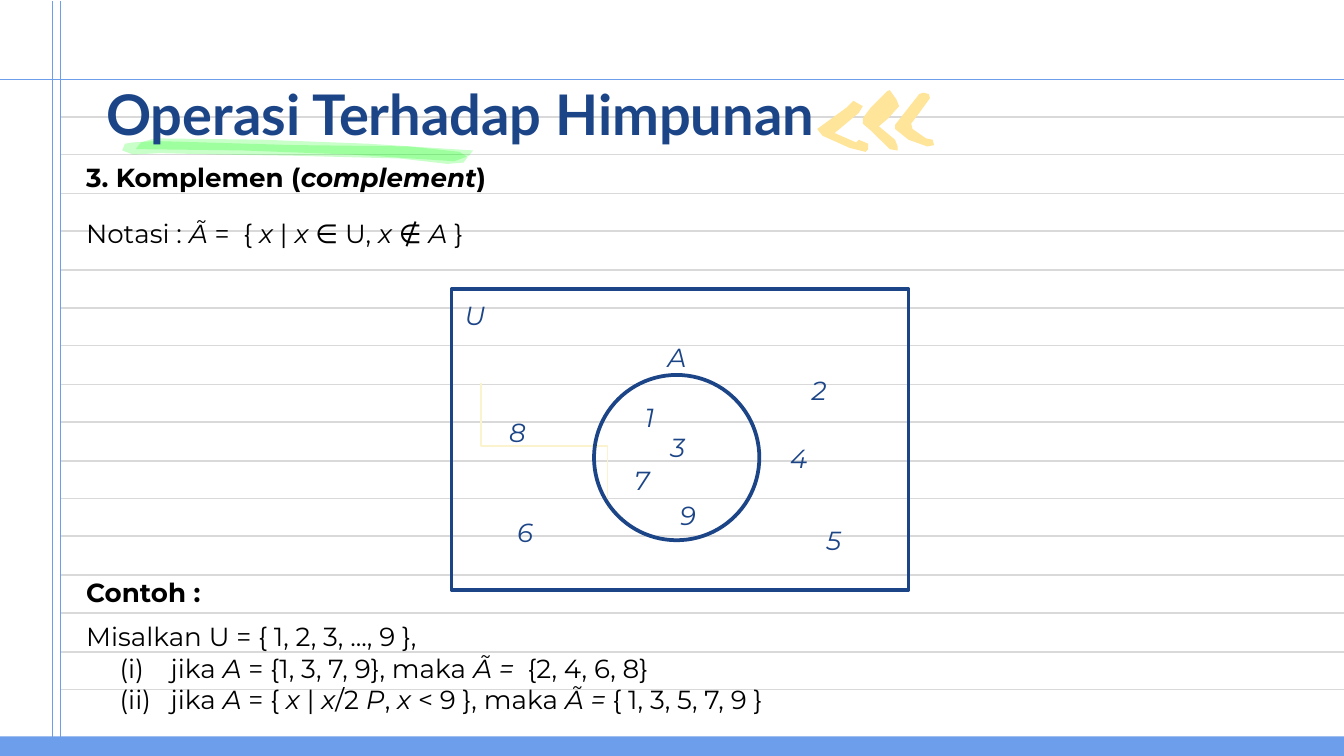
from lxml.etree import SubElement
from pptx import Presentation
from pptx.dml.color import RGBColor
from pptx.enum.shapes import MSO_CONNECTOR, MSO_SHAPE
from pptx.enum.text import MSO_ANCHOR, MSO_AUTO_SIZE, PP_ALIGN
from pptx.oxml.ns import qn
from pptx.util import Emu, Inches, Pt

PX = 9144
NAVY, BLUE, RULE = "1C4587", "6D9EEB", "D9D9D9"
GREEN, YELLOW, CREAM = "00FF00", "FFE599", "FAF3CD"

CHEVRONS = [
    [(608, 96), (630, 80), (635, 75), (642, 79), (639, 84), (621, 99), (637, 106),
     (639, 104), (646, 107), (646, 111), (644, 113), (632, 110), (612, 101)],
    [(662, 67), (667, 74), (669, 79), (661, 88), (654, 94), (666, 104), (668, 109),
     (668, 112), (662, 111), (649, 98), (642, 92), (642, 88), (648, 80), (660, 68)],
    [(687, 69), (691, 70), (692, 73), (684, 84), (678, 92), (679, 96), (689, 103),
     (694, 104), (695, 108), (690, 109), (676, 104), (666, 96), (666, 93), (673, 84), (684, 70)],
]
HIGHLIGHTS = [
    [(115, 103), (195, 104), (274, 107), (352, 112), (349, 116), (338, 120),
     (260, 115), (180, 112), (101, 111), (105, 106)],
    [(116, 105), (151, 106), (219, 108), (304, 109), (342, 113), (348, 117), (345, 121),
     (333, 122), (298, 118), (222, 116), (161, 115), (119, 114), (99, 115), (91, 112), (93, 107), (99, 106)],
]
DIAGRAM_LABELS = [
    ("U", 336, 218, 36), ("A", 487, 249, 34), ("1", 470, 294, 28),
    ("3", 489, 316, 32), ("6", 375, 379, 32), ("4", 578, 324, 31),
    ("2", 594, 274, 32), ("5", 605, 385, 32), ("7", 462, 341, 31),
    ("8", 369, 305, 33), ("9", 496, 367, 32),
]
EXPLANATION = [
    ("3. Komplemen (*complement*)", True, 0, False),
    ("Notasi : *Ã* =  { *x *| *x *∈ U, *x *∉ *A* }", False, 18, False),
    ("Contoh :", True, 180, False),
    ("Misalkan U = { 1, 2, 3, ..., 9 },", False, 12, False),
    ("(i)\tjika *A* = {1, 3, 7, 9}, maka *Ã = * {2, 4, 6, 8}", False, 0, True),
    ("(ii)\tjika *A* = { *x* | *x*/2 *P*, *x* < 9 }, maka *Ã =* { 1, 3, 5, 7, 9 }", False, 0, True),
]


def px(value):
    return Emu(value * PX)


def color(hex_code):
    return RGBColor.from_string(hex_code)


def style_font(font, name, size, hex_code, bold=False, italic=False):
    font.name, font.size = name, Pt(size)
    font.bold, font.italic = bold, italic
    font.color.rgb = color(hex_code)


def add_line(slide, start, end, hex_code, width, kind=MSO_CONNECTOR.STRAIGHT):
    line = slide.shapes.add_connector(kind, *map(px, start + end))
    line.line.color.rgb = color(hex_code)
    line.line.width = Pt(width)
    SubElement(line._element.spPr, qn("a:effectLst"))
    return line


def add_shape(slide, preset, box, fill=None, outline=None):
    shape = slide.shapes.add_shape(preset, *map(px, box))
    shape.shadow.inherit = False
    if fill:
        shape.fill.solid()
        shape.fill.fore_color.rgb = color(fill)
    else:
        shape.fill.background()
    if outline:
        shape.line.color.rgb = color(outline)
        shape.line.width = Pt(2)
    else:
        shape.line.fill.background()


def add_stroke(slide, points, hex_code, opacity=100):
    builder = slide.shapes.build_freeform(*points[0], scale=PX)
    builder.add_line_segments(points[1:], close=True)
    stroke = builder.convert_to_shape()
    stroke.shadow.inherit = False
    stroke.fill.solid()
    stroke.fill.fore_color.rgb = color(hex_code)
    stroke.line.fill.background()
    if opacity < 100:
        tint = stroke._element.spPr.find(qn("a:solidFill"))[0]
        SubElement(tint, qn("a:alpha"), val=str(opacity * 1000))


def add_label(slide, text, left, top, width):
    label = slide.shapes.add_textbox(px(left), px(top), px(width), px(34))
    label.text_frame.word_wrap = False
    label.text_frame.text = text
    style_font(label.text_frame.paragraphs[0].runs[0].font, "Montserrat", 14, NAVY, italic=True)


def place(slide, placeholder, box):
    placeholder.left, placeholder.top, placeholder.width, placeholder.height = map(px, box)
    slide.shapes._spTree.append(placeholder._element)
    frame = placeholder.text_frame
    frame.word_wrap = True
    frame.auto_size = MSO_AUTO_SIZE.NONE
    frame.vertical_anchor = MSO_ANCHOR.TOP
    return frame


def fill_title(slide, text):
    frame = place(slide, slide.shapes.title, (79, 59, 587, 63))
    frame.margin_left = frame.margin_top = frame.margin_right = frame.margin_bottom = 0
    frame.text = text
    frame.paragraphs[0].alignment = PP_ALIGN.LEFT
    style_font(frame.paragraphs[0].runs[0].font, "Lato", 30, NAVY, bold=True)


def write_paragraph(paragraph, text, bold, space_before, is_item):
    properties = paragraph._p.get_or_add_pPr()
    properties.set("marL", str(px(63 if is_item else 0)))
    properties.set("indent", str(px(-38 if is_item else 0)))
    SubElement(properties, qn("a:buNone"))
    paragraph.alignment = PP_ALIGN.LEFT
    paragraph.line_spacing = 1.0 if is_item else Pt(12)
    paragraph.space_before = Pt(space_before)
    paragraph.space_after = Pt(0)
    for index, part in enumerate(text.split("*")):
        if part:
            run = paragraph.add_run()
            run.text = part
            style_font(run.font, "Montserrat", 14, "000000", bold, index % 2 == 1)


def fill_body(slide, entries):
    frame = place(slide, slide.placeholders[1], (54, 122, 726, 440))
    for index, entry in enumerate(entries):
        paragraph = frame.add_paragraph() if index else frame.paragraphs[0]
        write_paragraph(paragraph, *entry)


def draw_notebook(slide):
    for row in range(16):
        y = round(87 + 28.4 * row)
        add_line(slide, (45, y), (1000, y), RULE, 0.86)
    for x in (39, 45):
        add_line(slide, (x, 1), (x, 562), BLUE, 0.62)
    add_line(slide, (-7, 59), (1007, 59), BLUE, 0.75)
    add_shape(slide, MSO_SHAPE.RECTANGLE, (-2, 548, 1002, 17), fill=BLUE)


def draw_venn(slide):
    add_shape(slide, MSO_SHAPE.RECTANGLE, (336, 215, 340, 224), outline=NAVY)
    elbow = add_line(slide, (358, 285), (452, 379), CREAM, 0.75, MSO_CONNECTOR.ELBOW)
    transform = elbow._element.spPr.find(qn("a:xfrm"))
    transform.set("rot", "16200000")
    transform.set("flipH", "1")
    add_shape(slide, MSO_SHAPE.OVAL, (442, 279, 123, 123), outline=NAVY)
    for label in DIAGRAM_LABELS:
        add_label(slide, *label)


def main():
    deck = Presentation()
    deck.slide_width, deck.slide_height = Inches(10), Inches(5.625)
    slide = deck.slides.add_slide(deck.slide_layouts[1])
    draw_notebook(slide)
    for highlight in HIGHLIGHTS:
        add_stroke(slide, highlight, GREEN, opacity=21)
    fill_title(slide, "Operasi Terhadap Himpunan")
    for chevron in CHEVRONS:
        add_stroke(slide, chevron, YELLOW)
    fill_body(slide, EXPLANATION)
    draw_venn(slide)
    deck.save("out.pptx")


if __name__ == "__main__":
    main()
